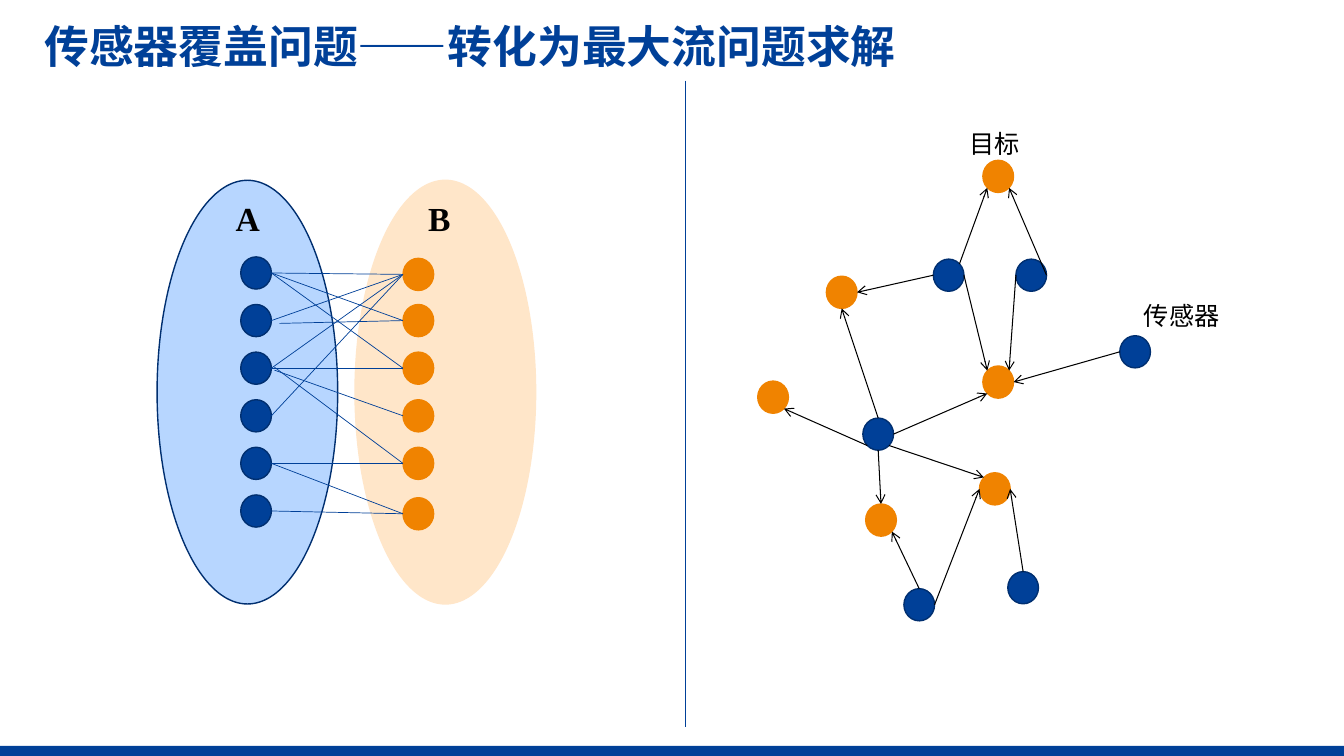
from dataclasses import dataclass

from lxml import etree
from pptx import Presentation
from pptx.dml.color import RGBColor
from pptx.enum.shapes import MSO_CONNECTOR, MSO_SHAPE
from pptx.enum.text import MSO_ANCHOR, MSO_AUTO_SIZE
from pptx.oxml.ns import qn
from pptx.util import Pt

OVAL, RECT = MSO_SHAPE.OVAL, MSO_SHAPE.RECTANGLE
STRAIGHT = MSO_CONNECTOR.STRAIGHT
MIDDLE, TOP = MSO_ANCHOR.MIDDLE, MSO_ANCHOR.TOP
GROW = MSO_AUTO_SIZE.SHAPE_TO_FIT_TEXT


@dataclass(frozen=True)
class Theme:
    blue: str = "004098"
    navy: str = "002F70"
    orange: str = "F08300"
    sky: str = "B7D6FF"
    cream: str = "FFE6C9"
    black: str = "000000"
    sans: str = "Noto Sans CJK SC"
    serif: str = "Times New Roman"
    title: int = 32
    letter: int = 24
    label: int = 18
    edge: float = 1
    arrow: float = 0.75
    thin: float = 0.5


NODE_W, NODE_H = 21.9, 23
DIAG = 0.71
SITES = {
    "N": (0, -1), "S": (0, 1), "E": (1, 0), "W": (-1, 0),
    "NE": (DIAG, -DIAG), "NW": (-DIAG, -DIAG),
    "SE": (DIAG, DIAG), "SW": (-DIAG, DIAG),
}


def site(node, name):
    """Return the point on a node's rim in a compass direction."""
    dx, dy = SITES[name]
    return node[0] + dx * NODE_W / 2, node[1] + dy * NODE_H / 2


class Board:
    def __init__(self, slide, theme):
        self.slide, self.theme = slide, theme

    def shape(self, kind, box, fill, line=None):
        item = self.slide.shapes.add_shape(kind, *map(Pt, box))
        item.shadow.inherit = False
        item.fill.solid()
        item.fill.fore_color.rgb = RGBColor.from_string(fill)
        if line:
            item.line.color.rgb = RGBColor.from_string(line)
            item.line.width = Pt(self.theme.edge)
        else:
            item.line.fill.background()

    def node(self, center, fill, line):
        x, y = center
        box = (x - NODE_W / 2, y - NODE_H / 2, NODE_W, NODE_H)
        self.shape(OVAL, box, fill, line)

    def sensor(self, center):
        self.node(center, self.theme.blue, self.theme.navy)

    def target(self, center):
        self.node(center, self.theme.orange, self.theme.orange)

    def line(self, start, end, color, width, head=False):
        item = self.slide.shapes.add_connector(STRAIGHT, *map(Pt, start + end))
        item.line.color.rgb = RGBColor.from_string(color)
        item.line.width = Pt(width)
        if head:
            ln = item.line._get_or_add_ln()
            etree.SubElement(ln, qn("a:tailEnd"), type="arrow")
        etree.SubElement(item._element.spPr, qn("a:effectLst"))

    def text(self, box, words, font, size, color, bold=False, wrap=True,
             anchor=TOP, grow=True, space=None):
        frame = self.slide.shapes.add_textbox(*map(Pt, box)).text_frame
        frame.word_wrap = wrap
        frame.vertical_anchor = anchor
        if grow:
            frame.auto_size = GROW
        para = frame.paragraphs[0]
        para.text = words
        para.line_spacing = space
        face = para.font
        face.name, face.size, face.bold = font, Pt(size), bold
        face.color.rgb = RGBColor.from_string(color)
        etree.SubElement(face._element, qn("a:ea"), typeface=font)


def draw_sets(board):
    """Draw the two sets and the links between them."""
    look = board.theme
    board.shape(OVAL, (253.6, 128.8, 129, 302.6), look.cream, look.cream)
    board.shape(OVAL, (112.2, 128.8, 129, 302.6), look.sky, look.navy)
    left = [(182.9, 195 + 34 * i) for i in range(6)]
    right = [(298.8, y) for y in (196, 229, 263, 297, 331, 367)]
    for center in left:
        board.sensor(center)
    for center in right:
        board.target(center)
    for x, name in ((161.3, "A"), (298.8, "B")):
        board.text((x, 137.5, 64, 36), name, look.serif, look.letter,
                   look.black, bold=True)
    links = {0: (0, 1, 2), 1: (0, 1), 2: (0, 2, 3, 4), 3: (0,),
             4: (4, 5), 5: (5,)}
    nudge = {(1, 1): (5.8, 2), (2, 3): (2.2, 1.4), (2, 4): (2.2, -0.7)}
    for a, ends in links.items():
        for b in ends:
            x, y = site(left[a], "E")
            dx, dy = nudge.get((a, b), (0, 0))
            board.line((x + dx, y + dy), site(right[b], "W"),
                       look.blue, look.thin)


def draw_graph(board):
    """Draw the sensors and the targets that each one covers."""
    look = board.theme
    sensors = {
        "hub": (627.3, 310.1), "right": (736.6, 196.6),
        "left": (677.6, 196.6), "low": (656.6, 432),
        "far": (810.8, 251.3), "base": (730.8, 419.8),
    }
    targets = {
        "top": (713, 126), "west": (552.2, 283.7), "mid": (713, 272.9),
        "east": (710.6, 349.2), "upper": (601.2, 208.8),
        "lower": (629.3, 371.5),
    }
    for center in sensors.values():
        board.sensor(center)
    for center in targets.values():
        board.target(center)
    arrows = (
        ("hub", "SW", "west", "SE"), ("hub", "E", "mid", "SW"),
        ("hub", "SE", "east", "NW"), ("hub", "N", "upper", "S"),
        ("hub", "S", "lower", "N"), ("right", "E", "top", "SE"),
        ("right", "W", "mid", "NE"), ("left", "E", "mid", "NW"),
        ("left", "NE", "top", "SW"), ("left", "W", "upper", "E"),
        ("low", "E", "east", "W"), ("low", "N", "lower", "SE"),
        ("far", "W", "mid", "E"), ("base", "N", "east", "E"),
    )
    for a, out, b, into in arrows:
        board.line(site(sensors[a], out), site(targets[b], into),
                   look.black, look.arrow, head=True)
    for box, words in (((810, 211, 69, 29), "传感器"),
                       ((685.4, 87.8, 51, 29), "目标")):
        board.text(box, words, look.sans, look.label, look.black, wrap=False)


def main():
    deck = Presentation()
    deck.slide_width, deck.slide_height = Pt(960), Pt(540)
    look = Theme()
    board = Board(deck.slides.add_slide(deck.slide_layouts[6]), look)
    board.shape(RECT, (0, 532.8, 960, 7.2), look.blue)
    board.text((24.5, 12.2, 906.5, 45.4), "传感器覆盖问题——转化为最大流问题求解",
               look.sans, look.title, look.blue, bold=True,
               anchor=MIDDLE, grow=False, space=0.9)
    draw_sets(board)
    board.line((489.6, 57.6), (489.6, 519), look.blue, look.thin)
    draw_graph(board)
    deck.save("out.pptx")


if __name__ == "__main__":
    main()
